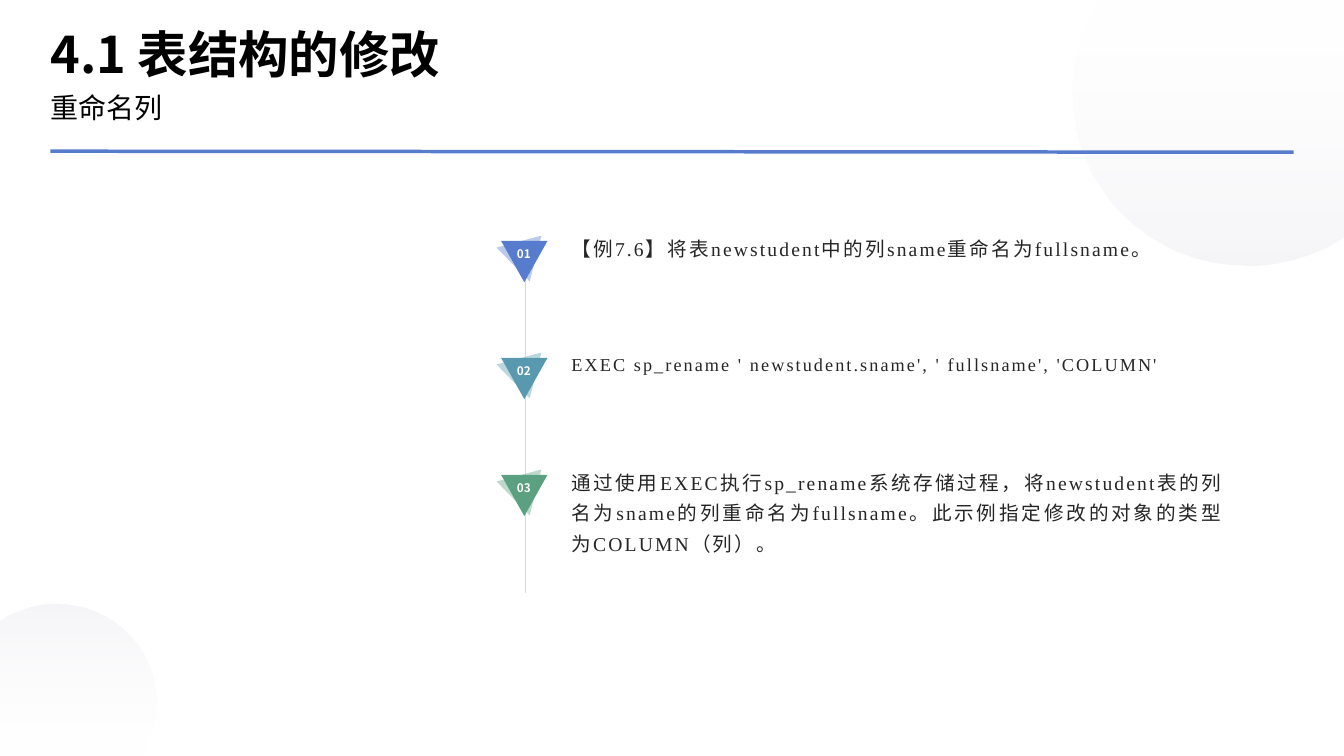
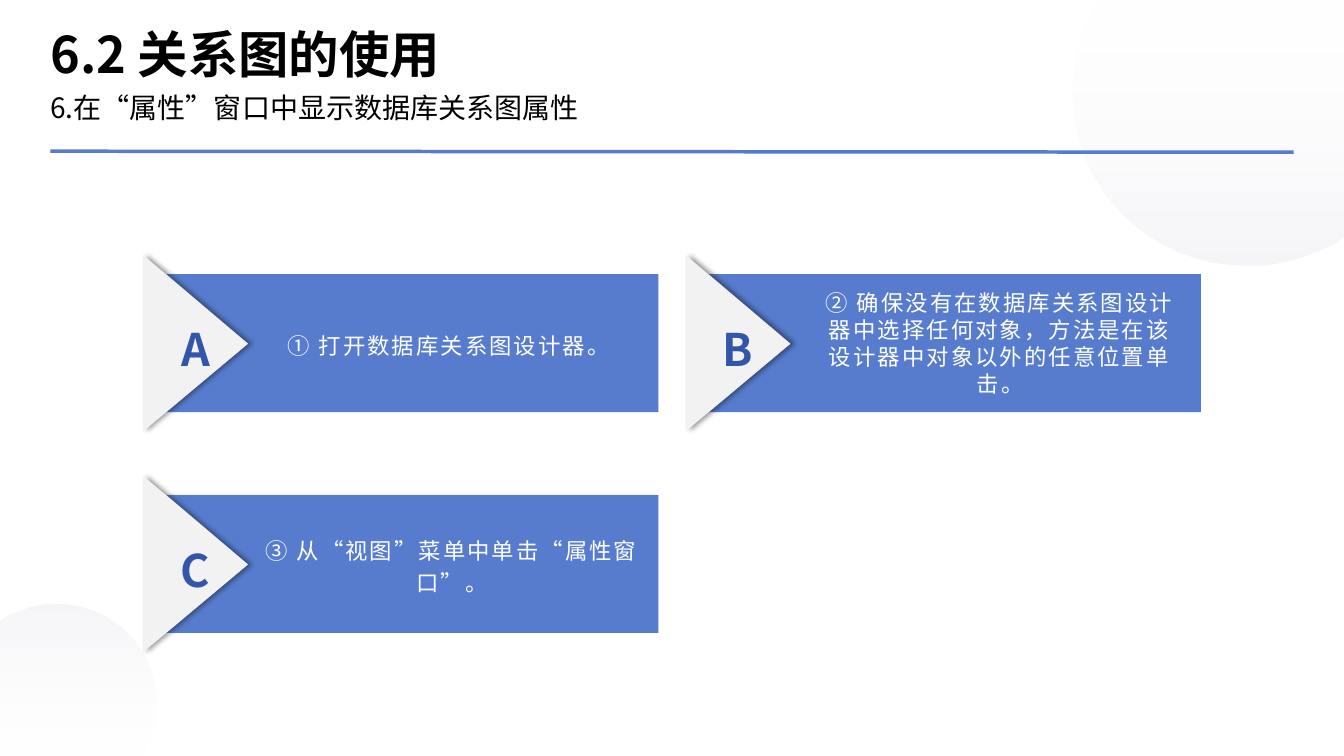
from lxml.etree import SubElement
from pptx import Presentation
from pptx.dml.color import RGBColor
from pptx.enum.lang import MSO_LANGUAGE_ID
from pptx.enum.shapes import MSO_CONNECTOR, MSO_SHAPE
from pptx.enum.text import MSO_ANCHOR, MSO_AUTO_SIZE, PP_ALIGN
from pptx.oxml.ns import qn
from pptx.util import Emu, Pt

EMU_PER_PX = 9144  # 100 px to the inch
SLIDE_W, SLIDE_H = 1333, 750
MARGIN, CONTENT_W = 50, 1233

SANS = "Noto Sans CJK SC"
SERIF = "Times New Roman"

BLACK = RGBColor(0x00, 0x00, 0x00)
WHITE = RGBColor(0xFF, 0xFF, 0xFF)
INK = RGBColor(0x26, 0x26, 0x26)
BLUE = RGBColor(0x57, 0x7C, 0xCE)
DEEP_BLUE = RGBColor(0x32, 0x57, 0xAA)
TEAL = RGBColor(0x59, 0x99, 0xAF)
GREEN = RGBColor(0x5B, 0xA0, 0x80)
PALE_GREY = RGBColor(0xF2, 0xF2, 0xF2)
LINE_GREY = RGBColor(0xD9, 0xD9, 0xD9)
MIST = RGBColor(0xD8, 0xD8, 0xE4)

# Straight corners first, then curves as triples: two controls and an end.
TOP_DISC_CORNERS = [(1092, 0), (SLIDE_W, 0), (SLIDE_W, 234), (1320, 242)]
TOP_DISC_CURVES = [(1295, 255), (1267, 263), (1237, 263),
                   (1141, 263), (1064, 187), (1064, 92),
                   (1064, 63), (1071, 35), (1085, 11)]
BOTTOM_DISC_CORNERS = [(139, SLIDE_H), (0, SLIDE_H), (0, 616), (8, 611)]
BOTTOM_DISC_CURVES = [(22, 604), (38, 599), (55, 599),
                      (110, 599), (155, 643), (155, 697),
                      (155, 714), (150, 730), (143, 744)]


def px(length):
    return Emu(round(length * EMU_PER_PX))


def box(*lengths):
    return [px(length) for length in lengths]


def set_alpha(shape, *percents):
    """Give the shape's fill colours, in order, these opacities."""
    colours = shape._element.spPr.iter(qn("a:srgbClr"))
    for colour, percent in zip(colours, percents):
        SubElement(colour, qn("a:alpha"), val=str(percent * 1000))


def make_plain(shape, fill=None):
    shape.shadow.inherit = False
    shape.line.fill.background()
    if fill is not None:
        shape.fill.solid()
        shape.fill.fore_color.rgb = fill
    return shape


def add_outline(slide, points, fill=None):
    first, *others = [box(*point) for point in points]
    builder = slide.shapes.build_freeform(*first)
    builder.add_line_segments(others, close=True)
    return make_plain(builder.convert_to_shape(), fill)


def bend_segments(outline, first):
    """Turn the straight segments from index first on into cubic curves."""
    segments = list(outline._element.iter(qn("a:lnTo")))[first:]
    for start in range(0, len(segments), 3):
        triple = segments[start:start + 3]
        parent = triple[0].getparent()
        curve = SubElement(parent, qn("a:cubicBezTo"))
        parent.replace(triple[0], curve)
        for segment in triple:
            curve.append(segment[0])
        for segment in triple[1:]:
            parent.remove(segment)


def add_corner_disc(slide, corners, curves, angle):
    """Draw a faint disc cut off at the slide edges."""
    disc = add_outline(slide, corners + curves)
    bend_segments(disc, len(corners) - 1)
    disc.fill.gradient()
    disc.fill.gradient_angle = angle
    for stop, colour in zip(disc.fill.gradient_stops, (WHITE, MIST)):
        stop.color.rgb = colour
    set_alpha(disc, 10, 24)


def add_rule(slide, start, end, colour, weight):
    rule = slide.shapes.add_connector(
        MSO_CONNECTOR.STRAIGHT, *box(*start), *box(*end))
    rule.line.color.rgb = colour
    rule.line.width = Pt(weight)
    SubElement(rule._element.spPr, qn("a:effectLst"))


def write(shape, text, size, colour, face=SANS, bold=False, tracking=0,
          align=PP_ALIGN.LEFT, spacing=1.0, anchor=MSO_ANCHOR.TOP,
          insets=(10, 5)):
    """Fill the shape with one paragraph; tracking is in points."""
    frame = shape.text_frame
    frame.word_wrap = True
    frame.auto_size = MSO_AUTO_SIZE.NONE
    frame.vertical_anchor = anchor
    frame.margin_left = frame.margin_right = px(insets[0])
    frame.margin_top = frame.margin_bottom = px(insets[1])
    paragraph = frame.paragraphs[0]
    paragraph.alignment = align
    paragraph.line_spacing = spacing
    run = paragraph.add_run()
    run.text = text
    font = run.font
    font.name, font.size, font.bold = face, Pt(size), bold
    font.color.rgb = colour
    font.language_id = MSO_LANGUAGE_ID.SIMPLIFIED_CHINESE
    properties = run._r.get_or_add_rPr()
    SubElement(properties, qn("a:ea"), typeface=SANS)
    if tracking:
        properties.set("spc", str(round(tracking * 100)))


def add_text(slide, area, text, size, colour, **style):
    write(slide.shapes.add_textbox(*box(*area)), text, size, colour, **style)


def add_titled_slide(deck, title, subtitle):
    slide = deck.slides.add_slide(deck.slide_layouts[5])
    add_corner_disc(slide, TOP_DISC_CORNERS, TOP_DISC_CURVES, angle=270)
    add_corner_disc(slide, BOTTOM_DISC_CORNERS, BOTTOM_DISC_CURVES, angle=90)
    add_rule(slide, (MARGIN, 150), (MARGIN + CONTENT_W, 151), BLUE, 2.5)
    heading = slide.shapes.title
    heading.left, heading.top, heading.width, heading.height = box(
        MARGIN, 17, CONTENT_W, 66)
    write(heading, title, 36, BLACK, bold=True, anchor=MSO_ANCHOR.BOTTOM,
          insets=(0, 0))
    add_text(slide, (MARGIN, 83, CONTENT_W, 50), subtitle, 20, BLACK,
             spacing=1.2, insets=(0, 0))
    return slide


def add_marker(slide, left, top, number, colour):
    for rotation, opacity in ((165, 40), (180, 100)):
        triangle = make_plain(slide.shapes.add_shape(
            MSO_SHAPE.ISOSCELES_TRIANGLE, *box(left, top, 46, 41)), colour)
        triangle.rotation = rotation
        if opacity < 100:
            set_alpha(triangle, opacity)
    add_text(slide, (left + 3, top + 1, 39, 27), f"{number:02}", 8.4, WHITE,
             bold=True, align=PP_ALIGN.CENTER, insets=(0, 5))


def add_timeline(slide, left, top, steps):
    pitch = 116
    add_rule(slide, (left + 24, top + 28), (left + 24, top + 349),
             LINE_GREY, 1)
    for index, (text, size, colour, align) in enumerate(steps):
        step_top = top + index * pitch
        add_marker(slide, left, step_top, index + 1, colour)
        add_text(slide, (left + 60, step_top - 16, 666, 105), text, size, INK,
                 face=SERIF, tracking=1.5, align=align, spacing=1.3)


def add_card(slide, left, top, letter, text, text_left, spacing):
    """Place a lettered arrowhead on a banner; text_left is from the card."""
    tip = (left + 104, top + 88)
    right = left + 511
    add_outline(slide, [(left + 23, top + 19), (right, top + 19),
                        (right, top + 156), (left + 23, top + 156), tip], BLUE)
    arrowhead = add_outline(
        slide, [(left, top), tip, (left, top + 175)], PALE_GREY)
    effects = arrowhead._element.spPr.find(qn("a:effectLst"))
    shadow = SubElement(effects, qn("a:outerShdw"), blurRad=str(Pt(4)),
                        dist=str(Pt(3)), dir="0", algn="l", rotWithShape="0")
    shade = SubElement(shadow, qn("a:srgbClr"), val=str(BLACK))
    SubElement(shade, qn("a:alpha"), val="40000")
    centred = {"align": PP_ALIGN.CENTER, "anchor": MSO_ANCHOR.MIDDLE}
    write(arrowhead, letter, 32, DEEP_BLUE, bold=True, spacing=1.2, **centred)
    add_text(slide, (left + text_left, top + 28, 502 - text_left, 119), text,
             16, WHITE, tracking=1.5, spacing=spacing, **centred)


def add_card_grid(slide, left, top, cards):
    for index, card in enumerate(cards):
        row, column = divmod(index, 2)
        add_card(slide, left + column * 538, top + row * 219, *card)


def build_rename_slide(deck):
    slide = add_titled_slide(deck, "4.1 表结构的修改", "重命名列")
    add_timeline(slide, 497, 239, [
        ("【例7.6】将表newstudent中的列sname重命名为fullsname。",
         14, BLUE, PP_ALIGN.LEFT),
        ("EXEC sp_rename ' newstudent.sname', ' fullsname', 'COLUMN'",
         13, TEAL, PP_ALIGN.LEFT),
        ("通过使用EXEC执行sp_rename系统存储过程，将newstudent表的列名为sname的列"
         "重命名为fullsname。此示例指定修改的对象的类型为COLUMN（列）。",
         14, GREEN, PP_ALIGN.JUSTIFY),
    ])


def build_diagram_slide(deck):
    slide = add_titled_slide(deck, "6.2 关系图的使用",
                             "6.在“属性”窗口中显示数据库关系图属性")
    add_card_grid(slide, 142, 253, [
        ("A", "① 打开数据库关系图设计器。", 104, 1.2),
        ("B", "② 确保没有在数据库关系图设计器中选择任何对象，"
              "方法是在该设计器中对象以外的任意位置单击。", 122, 1.0),
        ("C", "③ 从“视图”菜单中单击“属性窗口”。", 111, 1.2),
    ])


def main():
    deck = Presentation()
    deck.slide_width, deck.slide_height = box(SLIDE_W, SLIDE_H)
    build_rename_slide(deck)
    build_diagram_slide(deck)
    deck.save("out.pptx")


if __name__ == "__main__":
    main()
